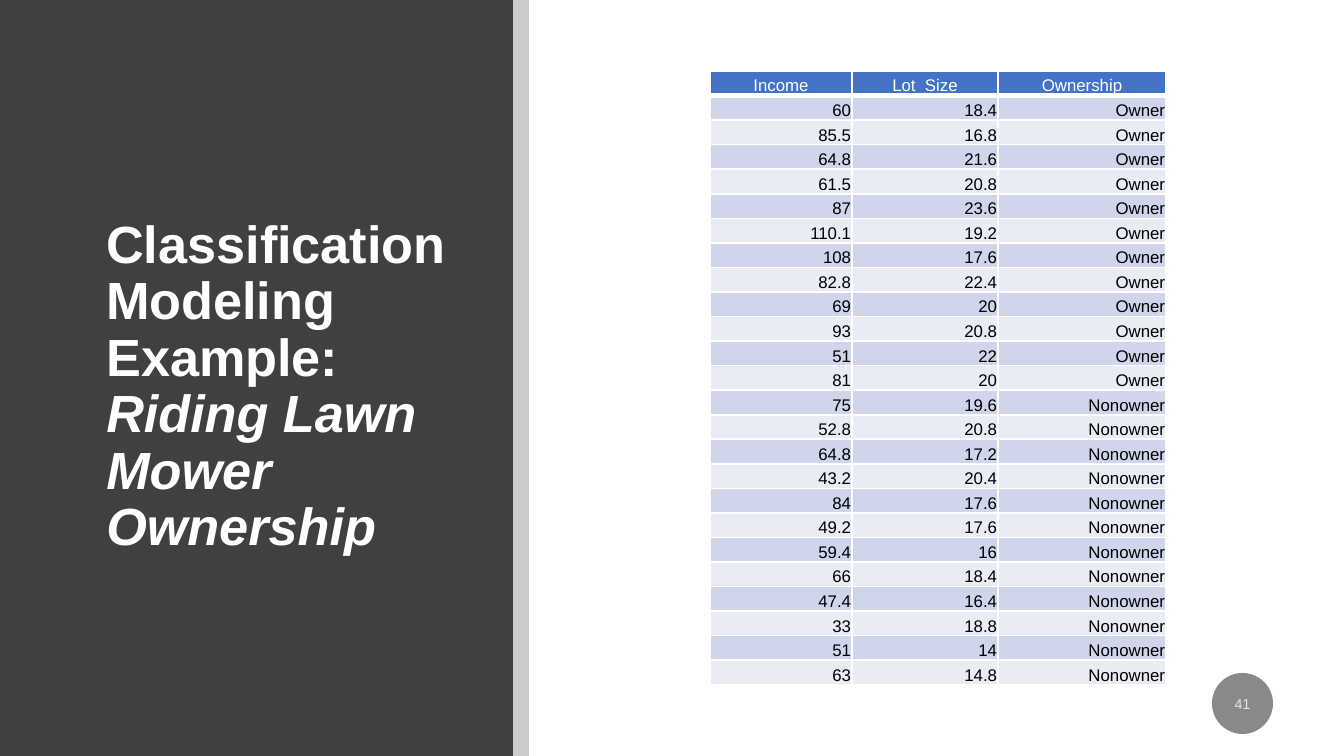
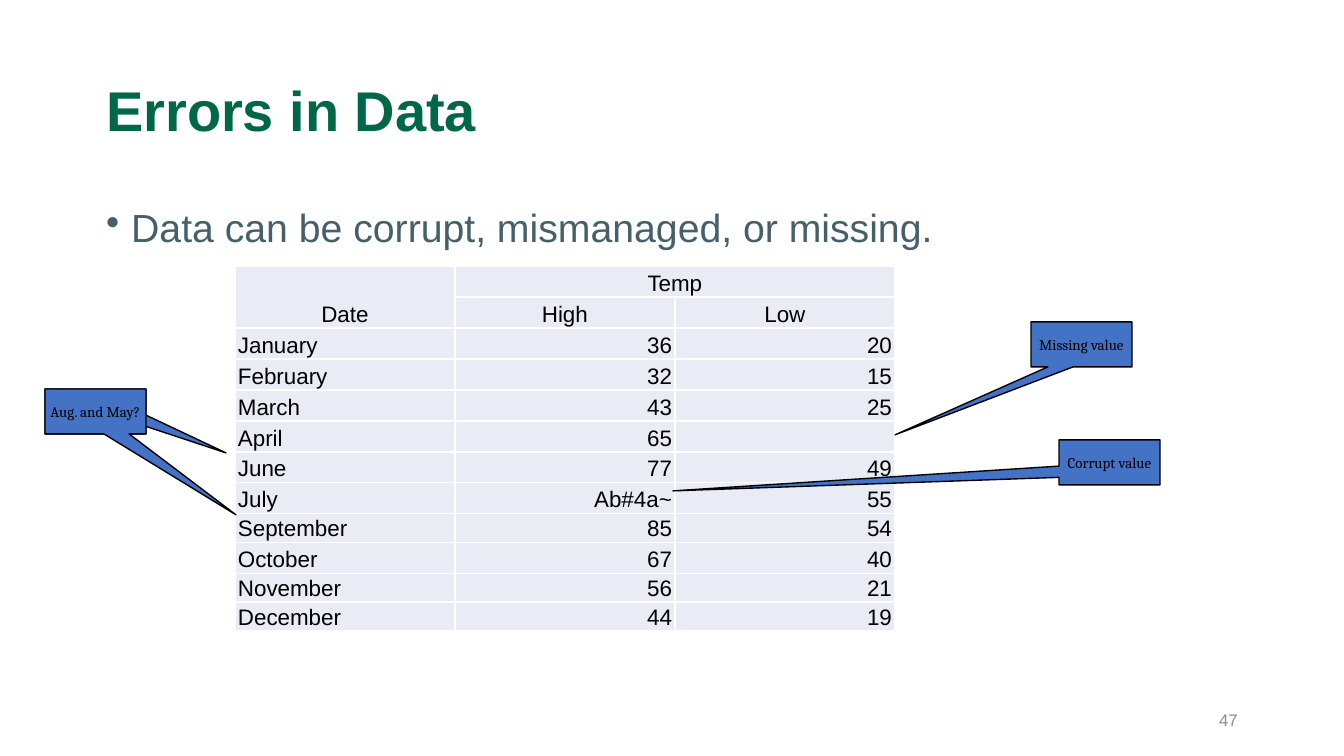
from pptx import Presentation
from pptx.dml.color import RGBColor
from pptx.enum.shapes import MSO_SHAPE as Shape
from pptx.enum.text import MSO_ANCHOR as Anchor, PP_ALIGN as Align
from pptx.oxml.ns import qn
from pptx.oxml.xmlchemy import OxmlElement
from pptx.util import Pt

# Content
MODEL_TITLE = [("Classification Modeling Example: ", {}),
               ("Riding Lawn Mower Ownership", {"italic": True})]
MOWER_HEAD = ("Income", "Lot_Size", "Ownership")
OWNERS = [("60", "18.4"), ("85.5", "16.8"), ("64.8", "21.6"), ("61.5", "20.8"),
          ("87", "23.6"), ("110.1", "19.2"), ("108", "17.6"), ("82.8", "22.4"),
          ("69", "20"), ("93", "20.8"), ("51", "22"), ("81", "20")]
NONOWNERS = [("75", "19.6"), ("52.8", "20.8"), ("64.8", "17.2"), ("43.2", "20.4"),
             ("84", "17.6"), ("49.2", "17.6"), ("59.4", "16"), ("66", "18.4"),
             ("47.4", "16.4"), ("33", "18.8"), ("51", "14"), ("63", "14.8")]
MOWERS = ([MOWER_HEAD] + [(*pair, "Owner") for pair in OWNERS]
          + [(*pair, "Nonowner") for pair in NONOWNERS])

ERRORS_TITLE = "Errors in Data"
ERRORS_POINT = "Data can be corrupt, mismanaged, or missing."
TEMPERATURES = [
    ("Date", "Temp", ""), ("", "High", "Low"),
    ("January", "36", "20"), ("February", "32", "15"), ("March", "43", "25"),
    ("April", "65", ""), ("June", "77", "49"), ("July", "Ab#4a~", "55"),
    ("September", "85", "54"), ("October", "67", "40"),
    ("November", "56", "21"), ("December", "44", "19")]
# Callouts: text, left, top, point of the tip
CALLOUTS = [("", 45, 389, (226, 453)), ("Aug. and May?", 45, 389, (236, 515)),
            ("Missing value", 1031, 322, (895, 435)),
            ("Corrupt value", 1059, 440, (673, 491))]

# Shared look
WIDTH, HEIGHT = 1344, 756
PX = 914400 / 134.4
COLORS = {"white": "FFFFFF", "black": "000000", "panel": "404040",
          "badge": "898989", "blue": "4472C4", "band": "CFD5EA",
          "pale": "E9EBF5", "green": "006747", "slate": "466069",
          "number": "8C8C8C"}
TITLE = {"size": 30, "bold": True, "color": "green"}
CELL = {"size": 12, "bold": False, "color": "black"}
NUMBER = {"size": 9, "color": "number"}
CALLOUT = {"size": 8, "color": "black", "name": "Cambria"}
CALLOUT_SIZE = (101, 45)


def px(length):
    return round(length * PX)


def rgb(color):
    return RGBColor.from_string(COLORS[color])


def format_font(font, look):
    for key, value in ({"name": "Arial"} | look).items():
        if key == "color":
            font.color.rgb = rgb(value)
        else:
            setattr(font, key, Pt(value) if key == "size" else value)


def write(frame, runs, look, anchor=Anchor.MIDDLE, insets=None, **layout):
    """Fill one paragraph; runs is a string or a list of (text, look)."""
    frame.word_wrap = True
    frame.vertical_anchor = anchor
    if insets:
        for side, inset in zip(("left", "top", "right", "bottom"), insets):
            setattr(frame, f"margin_{side}", px(inset))
    paragraph = frame.paragraphs[0]
    for key, value in layout.items():
        setattr(paragraph, key, value)
    for text, extra in [(runs, {})] if isinstance(runs, str) else runs:
        run = paragraph.add_run()
        run.text = text
        format_font(run.font, look | extra)
    return paragraph


def add_text(slide, box, runs, look, **options):
    frame = slide.shapes.add_textbox(*map(px, box)).text_frame
    return write(frame, runs, look, **options)


def add_block(slide, kind, box, fill, line=None):
    block = slide.shapes.add_shape(kind, *map(px, box))
    block.shadow.inherit = False
    block.fill.solid()
    block.fill.fore_color.rgb = rgb(fill)
    if line:
        block.line.color.rgb = rgb(line)
        block.line.width = Pt(0.75)
    else:
        block.line.fill.background()
    return block


def set_opacity(parent, percent):
    alpha = OxmlElement("a:alpha")
    alpha.set("val", str(percent * 1000))
    next(parent.iter(qn("a:srgbClr"))).append(alpha)


def set_borders(cell, bottom=1):
    props = cell._tc.get_or_add_tcPr()
    edges = (("L", 1), ("R", 1), ("T", 1), ("B", bottom))
    for position, (side, points) in enumerate(edges):
        edge = OxmlElement(f"a:ln{side}")
        edge.set("w", str(Pt(points)))
        paint = OxmlElement("a:solidFill")
        color = OxmlElement("a:srgbClr")
        color.set("val", COLORS["white"])
        paint.append(color)
        edge.append(paint)
        props.insert(position, edge)


def add_grid(slide, left, top, widths, heights, rows, insets, style):
    """style(row, column) gives fill, alignment, look and bottom border."""
    box = (left, top, sum(widths), sum(heights))
    table = slide.shapes.add_table(len(rows), len(widths), *map(px, box)).table
    for column, width in zip(table.columns, widths):
        column.width = px(width)
    for r, (row, height) in enumerate(zip(rows, heights)):
        table.rows[r].height = px(height)
        for c, text in enumerate(row):
            cell = table.cell(r, c)
            fill, alignment, look, bottom = style(r, c)
            cell.fill.solid()
            cell.fill.fore_color.rgb = rgb(fill)
            set_borders(cell, bottom)
            cell.vertical_anchor = Anchor.BOTTOM
            for side, inset in zip(("left", "top", "right", "bottom"), insets):
                setattr(cell, f"margin_{side}", px(inset))
            paragraph = cell.text_frame.paragraphs[0]
            paragraph.alignment = alignment
            if text:
                run = paragraph.add_run()
                run.text = text
                format_font(run.font, look)
            else:  # keeps an empty cell as low as its row
                end = paragraph._p.get_or_add_endParaRPr()
                end.set("sz", str(look["size"] * 100))
    return table


def mower_style(row, column):
    look = CELL | {"size": 9}
    if row == 0:
        return "blue", Align.CENTER, look | {"color": "white"}, 3
    return ("band" if row % 2 else "pale"), Align.RIGHT, look, 1


def temperature_style(row, column):
    alignment = (Align.CENTER if row < 2 else
                 Align.RIGHT if column else Align.LEFT)
    return "pale", alignment, CELL, 1


def build_mower_slide(slide):
    # Dark panel, title and grey strip
    add_block(slide, Shape.RECTANGLE, (0, 0, 513, HEIGHT), "panel")
    add_text(slide, (93, 90, 368, 595), MODEL_TITLE,
             TITLE | {"size": 28, "color": "white"}, line_spacing=0.9)
    strip = add_block(slide, Shape.RECTANGLE, (513, 0, 16, HEIGHT), "black")
    set_opacity(strip._element, 20)

    # Slide number badge
    badge = add_block(slide, Shape.OVAL, (1212, 673, 61, 61), "badge")
    number = write(badge.text_frame, "41", {"size": 7.7, "color": "white"},
                   alignment=Align.CENTER, space_after=Pt(6))
    set_opacity(number._p, 80)

    # Mower data
    heights = [614 / len(MOWERS)] * len(MOWERS)
    add_grid(slide, 710, 71, (142, 146, 168), heights, MOWERS,
             (1, 1, 1, 0), mower_style)


def build_errors_slide(slide):
    # Title, bullet and slide number
    add_text(slide, (93, 40, 1159, 146), ERRORS_TITLE, TITLE, line_spacing=0.9)
    point = add_text(slide, (93, 202, 1159, 480), ERRORS_POINT,
                     {"size": 21, "color": "slate"}, anchor=Anchor.TOP,
                     line_spacing=0.9, space_before=Pt(7.5))
    props = point._p.get_or_add_pPr()
    props.set("marL", str(px(25)))
    props.set("indent", str(px(-25)))
    bullet = OxmlElement("a:buChar")
    bullet.set("char", "•")
    props.append(bullet)
    add_text(slide, (949, 700, 302, 40), "47", NUMBER, alignment=Align.RIGHT)

    # Temperatures, with the two merged headings
    heights = [31] * 8 + [28, 31, 28, 28]
    table = add_grid(slide, 235, 266, [220] * 3, heights, TEMPERATURES,
                     (3, 1, 3, 1), temperature_style)
    table.cell(0, 0).merge(table.cell(1, 0))
    table.cell(0, 1).merge(table.cell(0, 2))

    # Callouts, each tip measured from the middle of its box
    width, height = CALLOUT_SIZE
    for text, left, top, (tip_x, tip_y) in CALLOUTS:
        callout = add_block(slide, Shape.RECTANGULAR_CALLOUT,
                            (left, top, width, height), "blue", "black")
        callout.adjustments[0] = (tip_x - left) / width - 0.5
        callout.adjustments[1] = (tip_y - top) / height - 0.5
        if text:
            write(callout.text_frame, text, CALLOUT, insets=(0, 0, 0, 0),
                  alignment=Align.CENTER)


def main():
    deck = Presentation()
    deck.slide_width, deck.slide_height = px(WIDTH), px(HEIGHT)
    for build in (build_mower_slide, build_errors_slide):
        build(deck.slides.add_slide(deck.slide_layouts[6]))
    deck.save("out.pptx")


if __name__ == "__main__":
    main()
